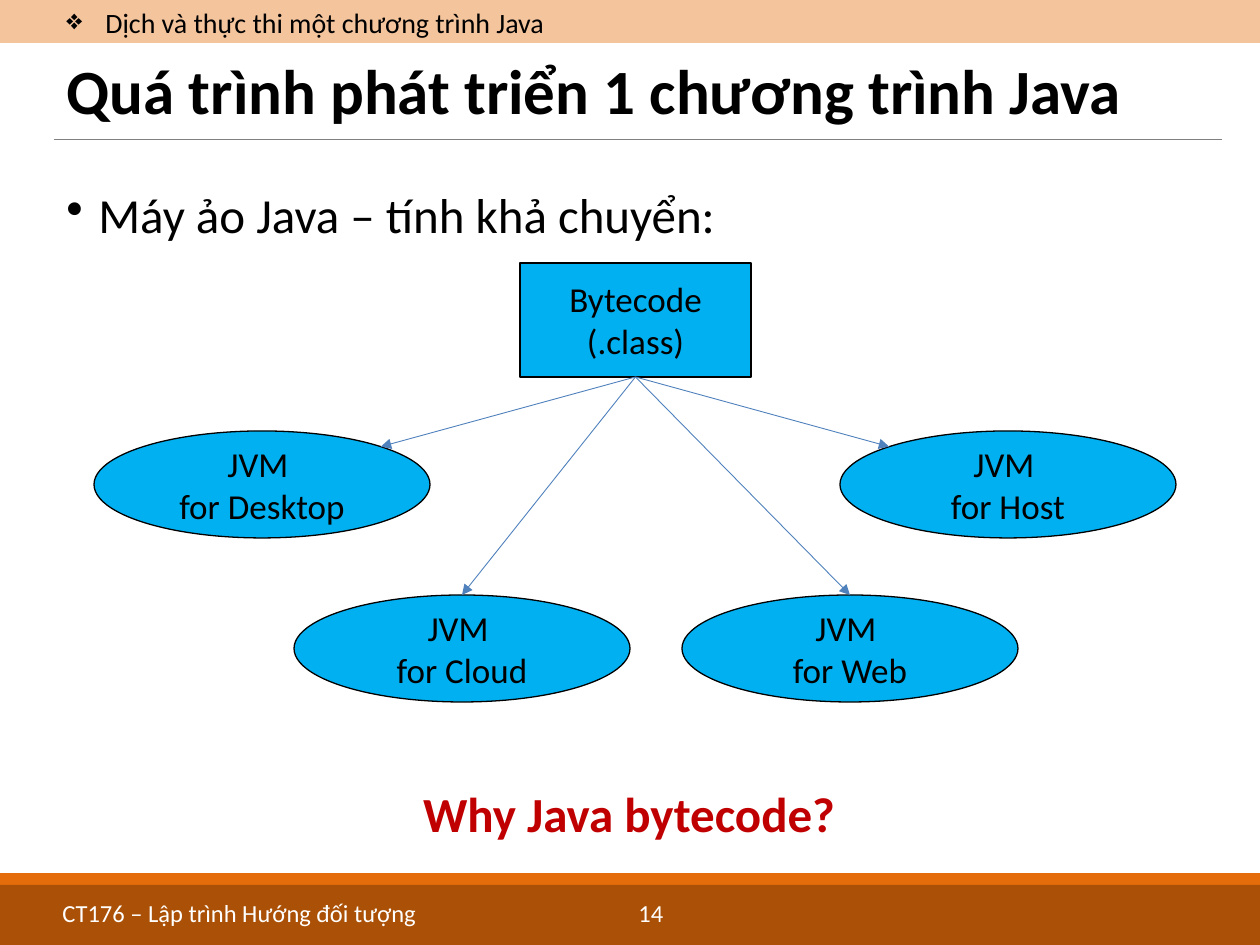
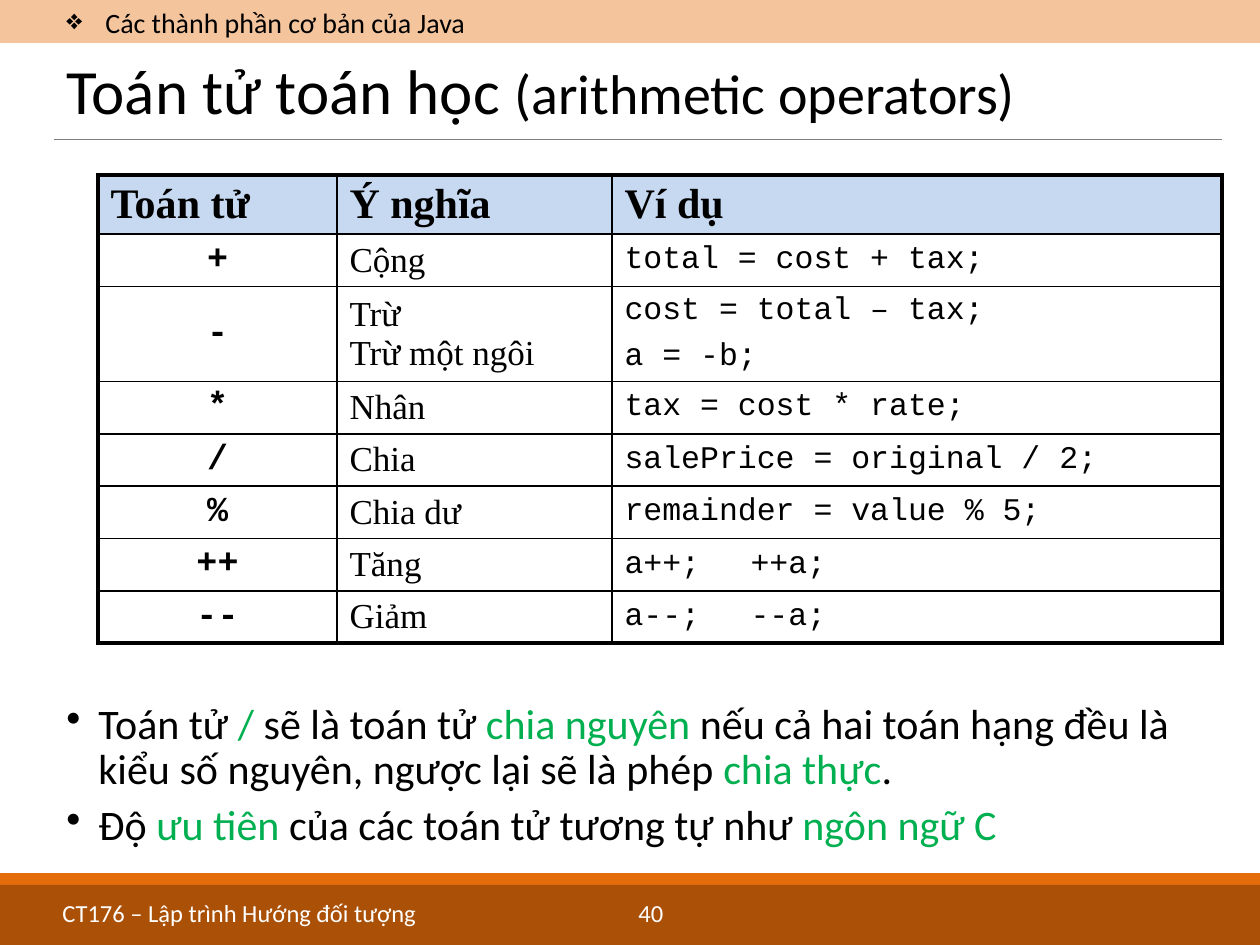
import math

import pptx
import pptx.dml.color
import pptx.enum.shapes
import pptx.enum.text
import pptx.oxml.ns
import pptx.oxml.xmlchemy
import pptx.util
from lxml import etree

EMU_PER_PX = 914400 / 126
COLORS = {
    "black": "000000", "white": "FFFFFF", "orange": "E46C0A", "brown": "984807",
    "rule": "808080", "sky": "00B0F0", "arrow": "4F81BD", "red": "C00000",
    "green": "00B050", "header": "C6D9F1",
}
SHAPE = pptx.enum.shapes.MSO_SHAPE
ALIGN = pptx.enum.text.PP_ALIGN
ANCHOR = pptx.enum.text.MSO_ANCHOR
COURSE = "CT176 – Lập trình Hướng đối tượng"
GREEN = {"color": "green"}

DEVICES = [
    ("Desktop", 0, 168, 45), ("Host", 746, 168, -45),
    ("Cloud", 200, 332, 0), ("Web", 588, 332, 0),
]
OPERATORS = [
    ("+", "Cộng", "total = cost + tax;"),
    ("-", "Trừ\nTrừ một ngôi", "cost = total – tax;\na = -b;"),
    ("*", "Nhân", "tax = cost * rate;"),
    ("/", "Chia", "salePrice = original / 2;"),
    ("%", "Chia dư", "remainder = value % 5;"),
    ("++", "Tăng", "a++;\t++a;"),
    ("--", "Giảm", "a--;\t--a;"),
]
NOTES = [
    ["Toán tử ", ("/", GREEN), " sẽ là toán tử ", ("chia nguyên ", GREEN),
     "nếu cả hai toán hạng đều là kiểu số nguyên, ngược lại sẽ là phép ",
     ("chia thực", GREEN), "."],
    ["Độ ", ("ưu tiên ", GREEN), "của các toán tử tương tự như ",
     ("ngôn ngữ C", GREEN)],
]


def px(*lengths):
    """Turn px lengths into a list of EMU lengths."""
    return [pptx.util.Emu(round(n * EMU_PER_PX)) for n in lengths]


def rgb(name):
    """Return the named colour."""
    return pptx.dml.color.RGBColor.from_string(COLORS[name])


def add_xml(parent, tag, **attrs):
    """Append a DrawingML element and return it."""
    return etree.SubElement(parent, pptx.oxml.ns.qn("a:" + tag), **attrs)


def add_run(p, text, size, color="black", bold=False, font="Calibri"):
    """Add one formatted run, with a line break at each newline."""
    for i, line in enumerate(text.split("\n")):
        if i:
            p.add_line_break()
        r = p.add_run()
        r.text = line
        r.font.size = pptx.util.Pt(size)
        r.font.name = font
        r.font.bold = bold
        r.font.color.rgb = rgb(color)


def write(tf, paragraphs, align=ALIGN.LEFT, anchor=ANCHOR.TOP, wrap=True,
          spacing=None, before=0, bullet=None, indent=0, **font):
    """Fill a text frame; a paragraph is a string or a list of runs."""
    tf.word_wrap = wrap
    tf.auto_size = pptx.enum.text.MSO_AUTO_SIZE.NONE
    tf.vertical_anchor = anchor
    for i, runs in enumerate(paragraphs):
        p = tf.add_paragraph() if i else tf.paragraphs[0]
        p.alignment = align
        if spacing:
            p.line_spacing = spacing
        p.space_before = pptx.util.Pt(before if i else 0)
        if bullet:
            pPr = p._p.get_or_add_pPr()
            margin = px(indent)[0]
            pPr.set("marL", str(margin))
            pPr.set("indent", str(-margin))
            add_xml(pPr, "buChar", char=bullet)
        for run in [runs] if isinstance(runs, str) else runs:
            text, extra = (run, {}) if isinstance(run, str) else run
            add_run(p, text, **{**font, **extra})


def add_text(slide, box, paragraphs, **fmt):
    """Add a text box with formatted paragraphs."""
    write(slide.shapes.add_textbox(*px(*box)).text_frame, paragraphs, **fmt)


def add_shape(slide, kind, box, fill, outline=None, alpha=None):
    """Add a flat preset shape."""
    sp = slide.shapes.add_shape(kind, *px(*box))
    sp.shadow.inherit = False
    sp.fill.solid()
    sp.fill.fore_color.rgb = rgb(fill)
    if alpha:
        clr = sp._element.spPr.find(".//" + pptx.oxml.ns.qn("a:srgbClr"))
        add_xml(clr, "alpha", val=str(alpha * 1000))
    if outline:
        sp.line.color.rgb = rgb(outline)
        sp.line.width = pptx.util.Pt(0.75)
    else:
        sp.line.fill.background()
    return sp


def add_line(slide, start, end, color, arrow=False):
    """Add a thin straight line, with an arrowhead at its end if asked."""
    cxn = slide.shapes.add_connector(
        pptx.enum.shapes.MSO_CONNECTOR.STRAIGHT, *px(*start, *end))
    cxn.line.color.rgb = rgb(color)
    cxn.line.width = pptx.util.Pt(0.5)
    if arrow:
        add_xml(cxn.line._get_or_add_ln(), "tailEnd", type="triangle")
    add_xml(cxn._element.spPr, "effectLst")
    return cxn


def add_header(slide, box, topic, title, bold):
    """Place the topic band, the title and the rule below it."""
    x, y, w, h = box
    add_shape(slide, SHAPE.RECTANGLE, (x, y, w, 43), "orange", alpha=40)
    add_text(slide, (x + 54, y + 3, w - 92, 39), [topic], size=16,
             anchor=ANCHOR.MIDDLE, bullet="❖", indent=39)
    sp = slide.shapes.title
    sp.left, sp.top, sp.width, sp.height = px(x + 54, y + 50, w - 92, 88)
    write(sp.text_frame, [title], size=36, bold=bold, spacing=0.9,
          anchor=ANCHOR.MIDDLE)
    add_line(slide, (x + 54, y + h), (x + w - 38, y + h), "rule")


def add_footer(slide, box, number):
    """Place the footer bands, the course name and the page number."""
    x, y, w, h = box
    add_shape(slide, SHAPE.RECTANGLE, box, "orange")
    add_shape(slide, SHAPE.RECTANGLE, (x, y + 12, w, h - 12), "brown", alpha=75)
    for left, width, text in [(50, 500, COURSE), (626, 100, str(number))]:
        add_text(slide, (x + left, y + 19, width, 35), [text], size=14,
                 color="white")


def add_diagram(slide, box):
    """Draw the bytecode box with an arrow to each virtual machine."""
    x, y, w, h = box
    label = dict(size=20, align=ALIGN.CENTER, anchor=ANCHOR.MIDDLE, wrap=False)
    ow, oh = 336, 107
    source = add_shape(slide, SHAPE.RECTANGLE, (x + w // 2 - 115, y, 231, 114),
                       "sky", "black")
    write(source.text_frame, ["Bytecode\n(.class)"], **label)
    for name, left, top, angle in DEVICES:
        oval = add_shape(slide, SHAPE.OVAL, (x + left, y + top, ow, oh),
                         "sky", "black")
        write(oval.text_frame, [f"JVM \nfor {name}"], **label)
        turn = math.radians(angle)
        end = (x + left + ow / 2 * (1 + math.sin(turn)),
               y + top + oh / 2 * (1 - math.cos(turn)))
        cxn = add_line(slide, (x + w / 2, y + 114), end, "arrow", arrow=True)
        cxn.begin_connect(source, 2)


def add_border(cell, side, width):
    """Draw one border of a cell."""
    ln = add_xml(cell._tc.get_or_add_tcPr(), "ln" + side,
                 w=str(pptx.util.Pt(width)))
    add_xml(add_xml(ln, "solidFill"), "srgbClr", val=COLORS["black"])


def add_operator_table(slide, box):
    """Place the table of operators, their meanings and examples."""
    rows = [("Toán tử", "Ý nghĩa", "Ví dụ"), *OPERATORS]
    header = dict(size=24, font="Times New Roman", bold=True)
    columns = [
        dict(size=20, font="Courier New", bold=True, align=ALIGN.CENTER),
        dict(size=20, font="Times New Roman"),
        dict(size=18, font="Courier New", before=6),
    ]
    table = slide.shapes.add_table(len(rows), len(columns), *px(*box)).table
    table.first_row = table.horz_banding = False
    for column, width in zip(table.columns, px(239, 275, box[2] - 514)):
        column.width = width
    for r, texts in enumerate(rows):
        height = 59 if r == 0 else 95 if "\n" in texts[1] else 52
        table.rows[r].height = px(height)[0]
        for c, text in enumerate(texts):
            cell = table.cell(r, c)
            edges = {"L": c == 0, "R": c == len(columns) - 1,
                     "T": r == 0, "B": r == len(rows) - 1}
            for side, outer in edges.items():
                add_border(cell, side, 2.25 if outer else 1)
            if r == 0:
                cell.fill.solid()
                cell.fill.fore_color.rgb = rgb("header")
            else:
                cell.fill.background()
            write_cell(cell, text, **(columns[c] if r else header))


def write_cell(cell, text, **fmt):
    """Write a vertically centred cell, one paragraph for each line."""
    write(cell.text_frame, text.split("\n"), **fmt)
    cell.vertical_anchor = ANCHOR.MIDDLE


def add_slide(prs, topic, title, number, bold=False):
    """Add a slide with the shared header and footer."""
    slide = prs.slides.add_slide(prs.slide_layouts.get_by_name("Title Only"))
    add_header(slide, (0, 0, 1260, 139), topic, title, bold)
    add_footer(slide, (0, 873, 1260, 72), number)
    return slide


def add_portability_slide(prs):
    """Build the slide on the portability of the virtual machine."""
    slide = add_slide(prs, "Dịch và thực thi một chương trình Java",
                      "Quá trình phát triển 1 chương trình Java", 14, bold=True)
    add_text(slide, (54, 185, 1168, 70), ["Máy ảo Java – tính khả chuyển:"],
             size=28, spacing=0.9, bullet="•", indent=32)
    add_diagram(slide, (94, 263, 1082, 439))
    add_text(slide, (335, 777, 588, 72), ["Why Java bytecode?"], size=28,
             color="red", bold=True, align=ALIGN.CENTER)


def add_operators_slide(prs):
    """Build the slide on arithmetic operators."""
    title = ["Toán tử toán học ", ("(arithmetic operators)", {"size": 32})]
    slide = add_slide(prs, "Các thành phần cơ bản của Java", title, 40)
    add_operator_table(slide, (98, 175, 1124, 466))
    add_text(slide, (54, 697, 1168, 162), NOTES, size=24, spacing=0.9,
             before=6, bullet="•", indent=32)


def main():
    """Build and save the presentation."""
    prs = pptx.Presentation()
    prs.slide_width, prs.slide_height = px(1260, 945)
    add_portability_slide(prs)
    add_operators_slide(prs)
    prs.save("out.pptx")


if __name__ == "__main__":
    main()
